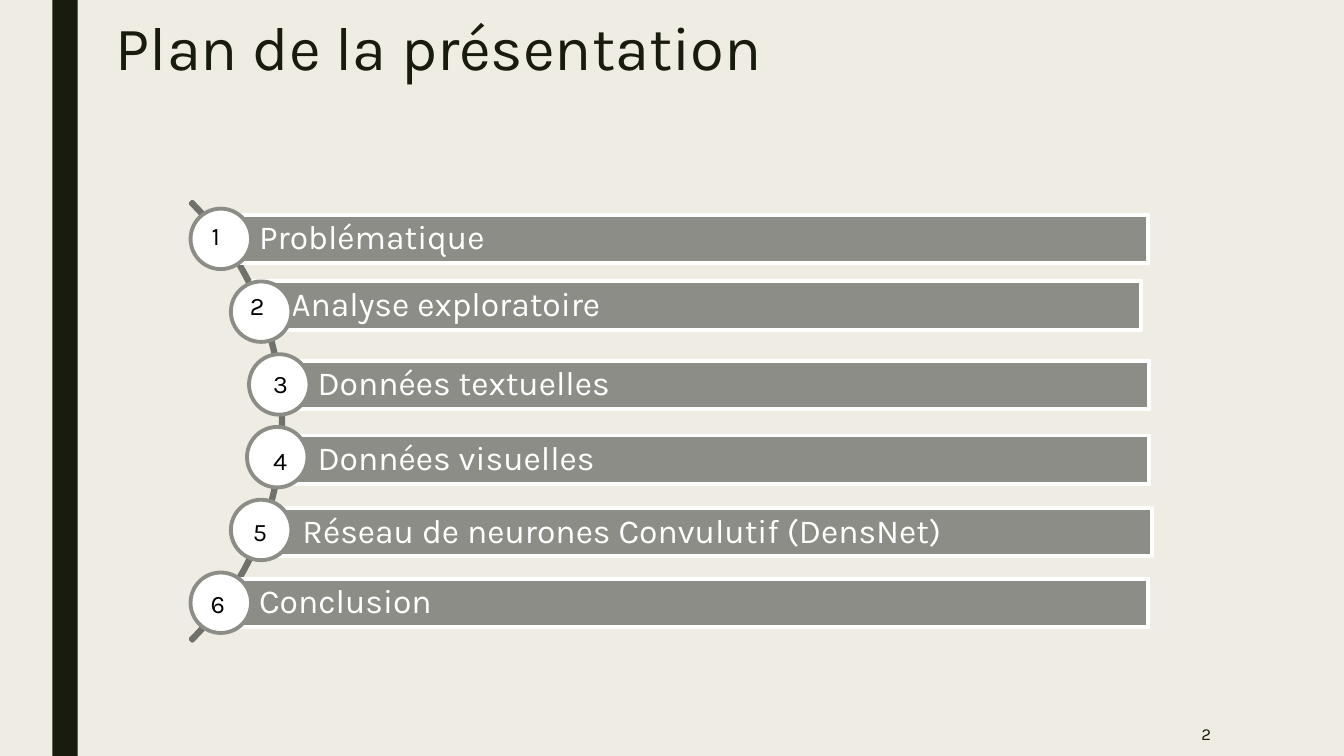
import dataclasses

import pptx
import pptx.dml.color
import pptx.enum.shapes
import pptx.enum.text
import pptx.util

Inches = pptx.util.Inches
Shape = pptx.enum.shapes.MSO_SHAPE
Anchor = pptx.enum.text.MSO_ANCHOR
Align = pptx.enum.text.PP_ALIGN


@dataclasses.dataclass(frozen=True)
class Theme:
    font: str = "Karla"
    paper: str = "EFEDE3"
    ink: str = "191B0E"
    bar: str = "8C8D86"
    arc: str = "70716B"
    white: str = "FFFFFF"
    black: str = "000000"
    title_size: int = 44
    bar_size: int = 24
    number_size: int = 18
    footer_size: int = 12
    outline: float = 2.75


def color(value):
    return pptx.dml.color.RGBColor.from_string(value)


def write(shape, text, *, font, size, fill, align=Align.LEFT, anchor=Anchor.TOP,
          spacing=1.0, insets=(0.1, 0.05, 0.1, 0.05)):
    """Put one formatted paragraph into a shape or text box."""
    frame = shape.text_frame
    frame.word_wrap = True
    frame.vertical_anchor = anchor
    (frame.margin_left, frame.margin_top,
     frame.margin_right, frame.margin_bottom) = map(Inches, insets)
    para = frame.paragraphs[0]
    para.alignment = align
    para.line_spacing = spacing
    span = para.add_run()
    span.text = text
    span.font.name = font
    span.font.size = pptx.util.Pt(size)
    span.font.color.rgb = color(fill)


class Painter:
    def __init__(self, page, theme):
        self.page = page
        self.theme = theme
        page.background.fill.solid()
        page.background.fill.fore_color.rgb = color(theme.paper)

    def shape(self, kind, place, fill=None, line=None):
        shape = self.page.shapes.add_shape(kind, *map(Inches, place))
        shape.shadow.inherit = False
        if fill:
            shape.fill.solid()
            shape.fill.fore_color.rgb = color(fill)
        else:
            shape.fill.background()
        if line:
            shape.line.color.rgb = color(line)
            shape.line.width = pptx.util.Pt(self.theme.outline)
        else:
            shape.line.fill.background()
        return shape

    def text(self, place, text, **style):
        box = self.page.shapes.add_textbox(*map(Inches, place))
        write(box, text, font=self.theme.font, **style)

    def arc(self, place, start, end):
        arc = self.shape(Shape.BLOCK_ARC, place, line=self.theme.arc)
        for index, value in enumerate((start, end, 0.004)):
            arc.adjustments[index] = value

    def bar(self, place, text):
        bar = self.shape(Shape.RECTANGLE, place, self.theme.bar, self.theme.white)
        write(bar, text, font=self.theme.font, size=self.theme.bar_size,
              fill=self.theme.white, anchor=Anchor.MIDDLE, spacing=0.9,
              insets=(0.38, 0.07, 0.07, 0.07))

    def circle(self, left, top):
        self.shape(Shape.OVAL, (left, top, 0.6, 0.6), self.theme.white, self.theme.bar)

    def number(self, left, top, value):
        self.text((left, top, 0.38, 0.4), str(value),
                  size=self.theme.number_size, fill=self.theme.black)


# Topic, bar (left, top, width), circle left, number (left, top)
TOPICS = [
    ("Problématique", (2.19, 2.13, 9.2), 1.89, (2.0, 2.14)),
    ("Analyse exploratoire", (2.51, 2.79, 8.81), 2.29, (2.38, 2.83)),
    ("Données textuelles", (2.77, 3.58, 8.63), 2.47, (2.61, 3.61)),
    ("Données visuelles", (2.77, 4.32, 8.63), 2.45, (2.61, 4.37)),
    ("Réseau de neurones Convulutif (DensNet)", (2.62, 5.04, 8.81), 2.29, (2.41, 5.07)),
    ("Conclusion", (2.19, 5.74, 9.2), 1.89, (1.99, 5.79)),
]
BAR_HEIGHT = 0.48
FIRST_CIRCLE, CIRCLE_STEP = 2.07, 0.722


def main():
    deck = pptx.Presentation()
    deck.slide_width, deck.slide_height = Inches(13.33), Inches(7.5)
    theme = Theme()
    painter = Painter(deck.slides.add_slide(deck.slide_layouts[6]), theme)

    # Side band and title
    painter.shape(Shape.RECTANGLE, (0.52, 0, 0.25, 7.5), theme.ink)
    painter.text((1.05, 0.13, 10.5, 1.62), "Plan de la présentation",
                 size=theme.title_size, fill=theme.ink, spacing=0.89)

    # Curved spine with one bar and circle per topic
    painter.arc((-3.35, 1.1, 6.16, 6.16), 189, 27)
    for index, (topic, bar, circle_left, _) in enumerate(TOPICS):
        painter.bar((*bar, BAR_HEIGHT), topic)
        painter.circle(circle_left, FIRST_CIRCLE + index * CIRCLE_STEP)

    # Topic numbers
    for value, (*_, place) in enumerate(TOPICS, start=1):
        painter.number(*place, value)

    # Page number
    painter.text((10.36, 7.06, 1.75, 0.44), "2", size=theme.footer_size,
                 fill=theme.ink, align=Align.RIGHT, anchor=Anchor.MIDDLE)

    deck.save("out.pptx")


if __name__ == "__main__":
    main()
